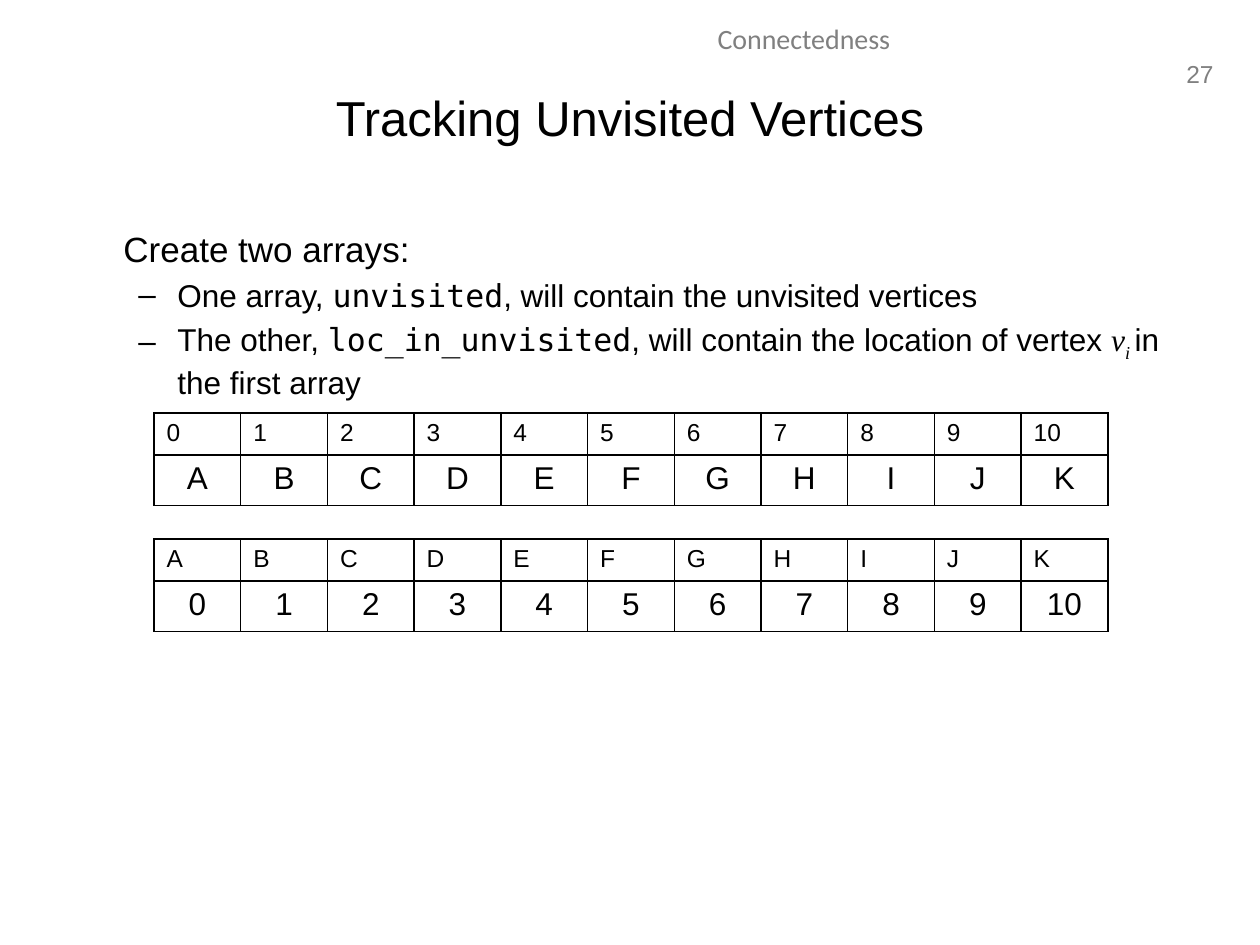
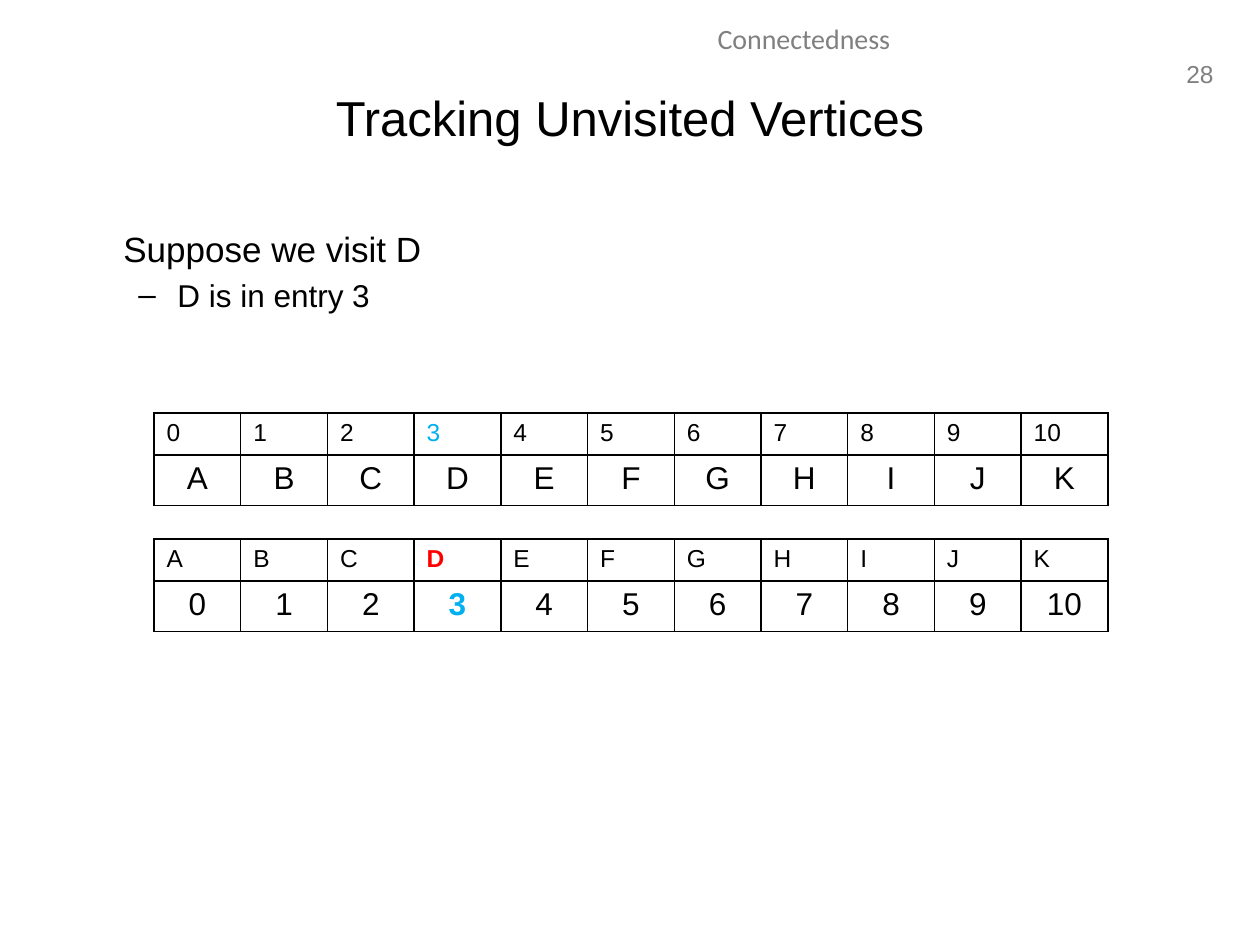
from lxml.etree import SubElement
from pptx import Presentation
from pptx.dml.color import RGBColor
from pptx.enum.text import MSO_ANCHOR as Anchor, PP_ALIGN as Align
from pptx.oxml.ns import qn
from pptx.util import Emu, Inches, Pt

PX = Inches(1) / 126

BLACK = RGBColor(0x00, 0x00, 0x00)
GRAY = RGBColor(0x80, 0x80, 0x80)
BLUE = RGBColor(0x00, 0xB0, 0xF0)
RED = RGBColor(0xFF, 0x00, 0x00)

SANS = "Arial"
CODE = "DejaVu Sans Mono"
MATH = "Times New Roman"
HEADER = "Calibri"

VERTICES = list("ABCDEFGHIJK")
INDICES = [str(index) for index in range(len(VERTICES))]


def px(length):
    return Emu(round(length * PX))


class SlideBuilder:
    def __init__(self, deck):
        self.deck = deck
        self.page = None

    def start(self, number, title):
        """Add a slide with its page number, running header and title."""
        self.page = self.deck.slides.add_slide(self.deck.slide_layouts[6])
        self.label(str(number), (1171, 53, 55, 42), 14, GRAY, align=Align.RIGHT, wrap=False)
        self.label("Connectedness", (402, 15, 804, 50), 16, GRAY, font=HEADER)
        self.label(title, (63, 38, 1134, 157), 28, BLACK, anchor=Anchor.MIDDLE)

    def frame(self, area, wrap=True):
        box = self.page.shapes.add_textbox(*map(px, area))
        box.text_frame.word_wrap = wrap
        return box.text_frame

    def style(self, span, size, color=BLACK, font=SANS, bold=False):
        span.font.size = Pt(size)
        span.font.name = font
        span.font.color.rgb = color
        span.font.bold = bold

    def label(self, text, area, size, color, font=SANS, align=Align.CENTER,
              anchor=Anchor.TOP, wrap=True):
        frame = self.frame(area, wrap)
        frame.text = text
        frame.vertical_anchor = anchor
        para = frame.paragraphs[0]
        para.alignment = align
        self.style(para.runs[0], size, color, font)

    def body(self, heading, points):
        """Write a heading and dashed points; a point is a list of (text, font, baseline)."""
        frame = self.frame((63, 221, 1134, 624))
        frame.text = heading
        para = frame.paragraphs[0]
        self.indent(para, 48, 0)
        self.style(para.runs[0], 20)
        for point in points:
            para = frame.add_paragraph()
            self.indent(para, 102, -39, "–")
            para.space_before = Pt(3.6)
            for text, font, baseline in point:
                span = para.add_run()
                span.text = text
                self.style(span, 18, font=font)
                span.font.italic = font == MATH
                if baseline:
                    span.font._element.set("baseline", str(baseline * 1000))

    def indent(self, para, left, first, bullet=None):
        properties = para._p.get_or_add_pPr()
        properties.set("marL", str(px(left)))
        properties.set("indent", str(px(first)))
        if bullet:
            SubElement(properties, qn("a:buFont"), typeface=SANS)
            SubElement(properties, qn("a:buChar"), char=bullet)

    def array(self, top, keys, values, marks):
        """Draw keys above values; marks maps (row, column) to (color, bold)."""
        shape = self.page.shapes.add_table(2, len(keys), px(154), px(top), px(954), px(92))
        table = shape.table
        table.first_row = table.horz_banding = False
        for column in table.columns:
            column.width = px(954 / len(keys))
        rows = ((keys, 42, 14, Align.LEFT), (values, 50, 18, Align.CENTER))
        for row, (texts, height, size, align) in enumerate(rows):
            table.rows[row].height = px(height)
            for column, text in enumerate(texts):
                cell = table.cell(row, column)
                cell.text = text
                para = cell.text_frame.paragraphs[0]
                para.alignment = align
                color, bold = marks.get((row, column), (BLACK, False))
                self.style(para.runs[0], size, color, bold=bold)
                self.border(cell)
                cell.fill.background()

    def border(self, cell):
        properties = cell._tc.get_or_add_tcPr()
        for side in ("lnL", "lnR", "lnT", "lnB"):
            line = SubElement(properties, qn(f"a:{side}"), w=str(Pt(1)))
            fill = SubElement(line, qn("a:solidFill"))
            SubElement(fill, qn("a:srgbClr"), val=str(BLACK))

    def arrays(self, unvisited_marks=None, location_marks=None):
        self.array(413, INDICES, VERTICES, unvisited_marks or {})
        self.array(539, VERTICES, INDICES, location_marks or {})


def main():
    deck = Presentation()
    deck.slide_width, deck.slide_height = px(1260), px(945)
    builder = SlideBuilder(deck)
    title = "Tracking Unvisited Vertices"

    builder.start(27, title)
    builder.body("Create two arrays:", [
        [("One array, ", SANS, 0), ("unvisited", CODE, 0),
         (", will contain the unvisited vertices", SANS, 0)],
        [("The other, ", SANS, 0), ("loc_in_unvisited", CODE, 0),
         (", will contain the location of vertex ", SANS, 0),
         ("v", MATH, 0), ("i ", MATH, -25), ("in the first array", SANS, 0)],
    ])
    builder.arrays()

    builder.start(28, title)
    builder.body("Suppose we visit D", [[("D is in entry 3", SANS, 0)]])
    visited = VERTICES.index("D")
    builder.arrays({(0, visited): (BLUE, False)},
                   {(0, visited): (RED, True), (1, visited): (BLUE, True)})

    deck.save("out.pptx")


if __name__ == "__main__":
    main()
